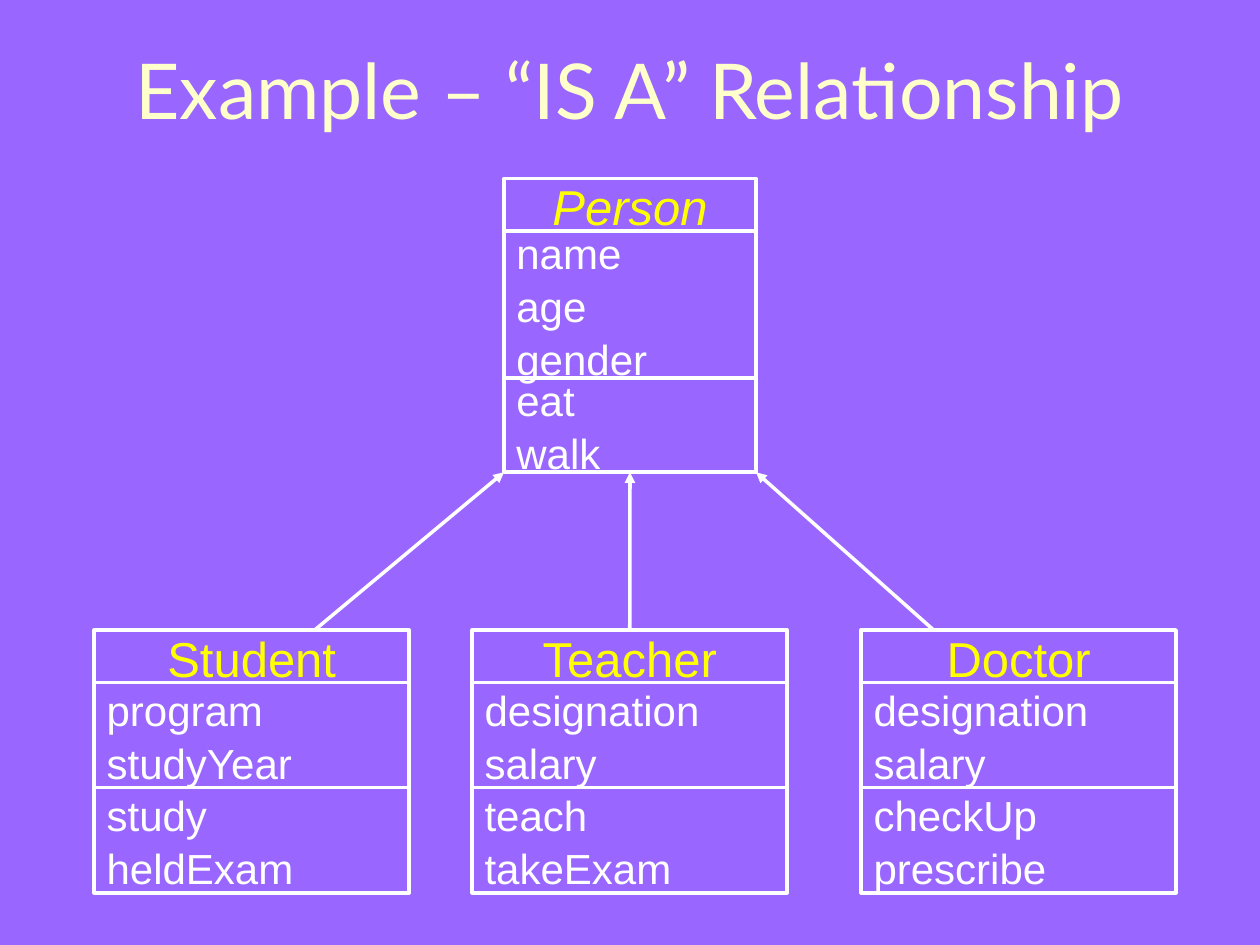
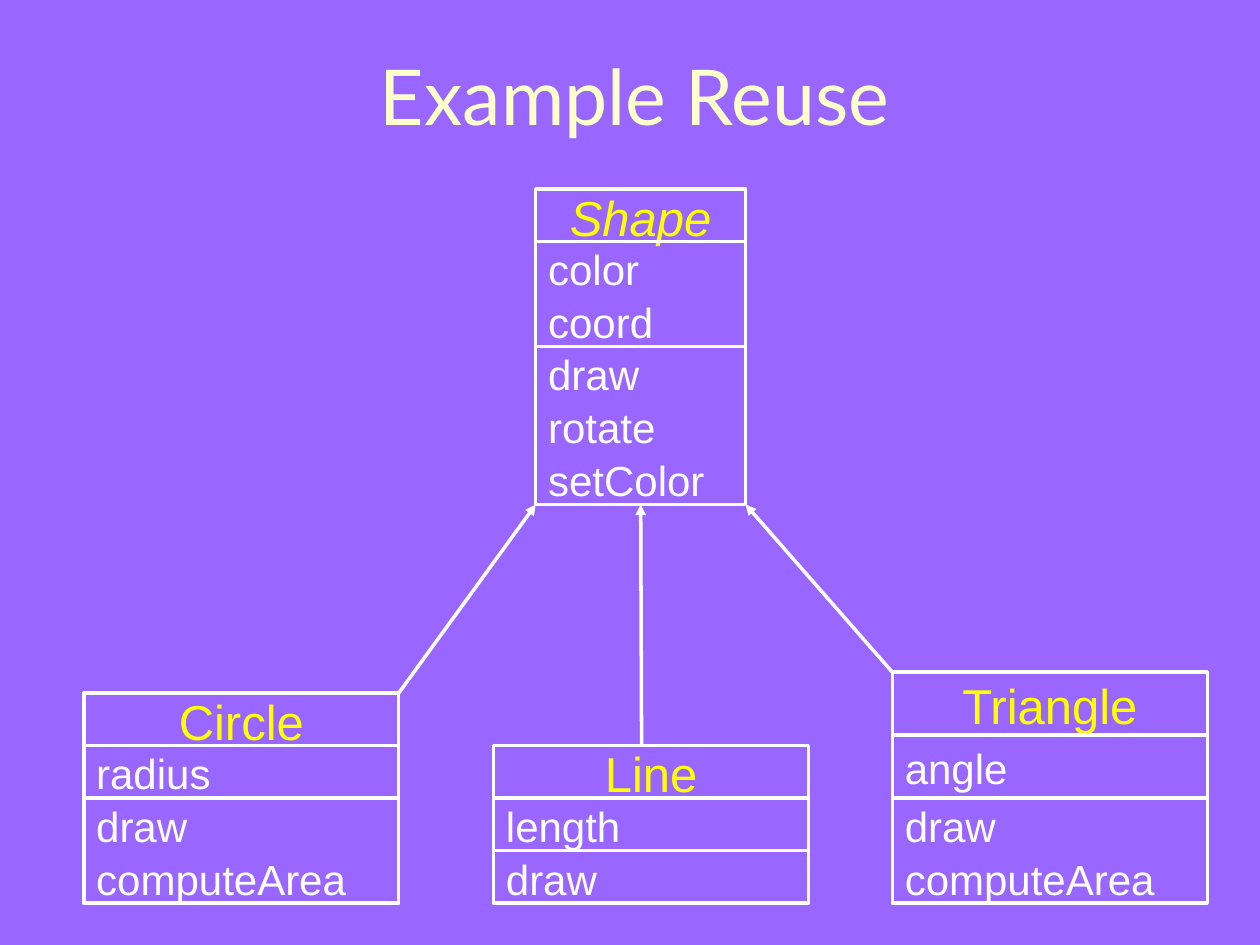
import dataclasses

import pptx
import pptx.dml.color
import pptx.enum.shapes
import pptx.enum.text
import pptx.oxml
import pptx.oxml.ns
import pptx.util
from pptx.util import Cm, Pt

RGBColor = pptx.dml.color.RGBColor
PURPLE = RGBColor(0x99, 0x66, 0xFF)
CREAM = RGBColor(0xFF, 0xFF, 0xCC)
YELLOW = RGBColor(0xFF, 0xFF, 0x00)
WHITE = RGBColor(0xFF, 0xFF, 0xFF)

LINE_WIDTH = Pt(2)
LINE_SPACING = 1.05
ROW = 1.06
CHILD_WIDTH = 6.35
TITLE_ONLY_LAYOUT = 5
PARENT_ENDS = (0, 0.5, 1)


@dataclasses.dataclass
class ClassBox:
    """A class diagram box in centimetres; arrow_start is a fraction of its width."""
    name: str
    attributes: list
    methods: list
    left: float
    top: float
    row_heights: tuple
    width: float = CHILD_WIDTH
    arrow_start: float = 0.5

    @property
    def bottom(self):
        return self.top + sum(self.row_heights)

    def x_at(self, fraction):
        return self.left + self.width * fraction


def write_text(shape, lines, *, size, color, font="Arial", italic=False, centered=False):
    frame = shape.text_frame
    frame.word_wrap = True
    frame.auto_size = pptx.enum.text.MSO_AUTO_SIZE.NONE
    frame.vertical_anchor = pptx.enum.text.MSO_ANCHOR.MIDDLE
    align = pptx.enum.text.PP_ALIGN
    for index, line in enumerate(lines):
        para = frame.paragraphs[0] if index == 0 else frame.add_paragraph()
        para.alignment = align.CENTER if centered else align.LEFT
        para.line_spacing = LINE_SPACING
        para.space_before = Pt(0)
        span = para.add_run()
        span.text = line
        span.font.name = font
        span.font.size = Pt(size)
        span.font.italic = italic
        span.font.color.rgb = color


def add_title(page, text, left, top, width):
    title = page.shapes.title
    title.left, title.top = Cm(left), Cm(top)
    title.width, title.height = Cm(width), Cm(2.21)
    write_text(title, [text], size=44, color=CREAM, font="Lato", centered=True)


def add_class_box(page, box, abstract=False):
    """Stack the name, attribute and method compartments of one class."""
    top = box.top
    compartments = ([box.name], box.attributes, box.methods)
    for index, (lines, height) in enumerate(zip(compartments, box.row_heights)):
        cell = page.shapes.add_shape(
            pptx.enum.shapes.MSO_SHAPE.RECTANGLE,
            Cm(box.left), Cm(top), Cm(box.width), Cm(height))
        cell.shadow.inherit = False
        cell.fill.background()
        cell.line.color.rgb = WHITE
        cell.line.width = LINE_WIDTH
        if index == 0:
            write_text(cell, lines, size=28, color=YELLOW, italic=abstract, centered=True)
        else:
            write_text(cell, lines, size=24, color=WHITE)
        top += height


def add_arrow(page, child, parent, parent_end):
    """Point from the child's top edge to the parent's bottom edge."""
    arrow = page.shapes.add_connector(
        pptx.enum.shapes.MSO_CONNECTOR.STRAIGHT,
        Cm(child.x_at(child.arrow_start)), Cm(child.top),
        Cm(parent.x_at(parent_end)), Cm(parent.bottom))
    arrow.line.color.rgb = WHITE
    arrow.line.width = LINE_WIDTH
    namespace = pptx.oxml.ns.nsdecls("a")
    arrow.line._get_or_add_ln().append(
        pptx.oxml.parse_xml(f'<a:tailEnd {namespace} type="triangle"/>'))
    arrow._element.spPr.append(pptx.oxml.parse_xml(f"<a:effectLst {namespace}/>"))


def add_hierarchy_page(deck, title, title_place, parent, children):
    page = deck.slides.add_slide(deck.slide_layouts[TITLE_ONLY_LAYOUT])
    add_title(page, title, *title_place)
    add_class_box(page, parent, abstract=True)
    for child, parent_end in zip(children, PARENT_ENDS):
        add_class_box(page, child)
        add_arrow(page, child, parent, parent_end)


def main():
    deck = pptx.Presentation()
    deck.slide_width, deck.slide_height = Cm(25.4), Cm(19.05)
    background = deck.slide_master.background.fill
    background.solid()
    background.fore_color.rgb = PURPLE

    two_line_rows = (ROW, 2 * ROW, 2 * ROW)
    person = ClassBox("Person", ["name", "age", "gender"], ["eat", "walk"],
                      10.16, 3.6, (ROW, 2.96, 1.9), width=5.08)
    professions = [
        ClassBox("Student", ["program", "studyYear"], ["study", "heldExam"],
                 1.9, 12.7, two_line_rows, arrow_start=0.7),
        ClassBox("Teacher", ["designation", "salary"], ["teach", "takeExam"],
                 9.52, 12.7, two_line_rows),
        ClassBox("Doctor", ["designation", "salary"], ["checkUp", "prescribe"],
                 17.36, 12.7, two_line_rows, arrow_start=0.23),
    ]
    add_hierarchy_page(deck, "Example – “IS A” Relationship", (0.84, 0.64, 23.72),
                       person, professions)

    shape = ClassBox("Shape", ["color", "coord"], ["draw", "rotate", "setColor"],
                     10.8, 3.81, (ROW, 2 * ROW, 3 * ROW), width=4.23)
    figures = [
        ClassBox("Circle", ["radius"], ["draw", "computeArea"],
                 1.69, 13.97, (ROW, ROW, 2 * ROW), arrow_start=1),
        ClassBox("Line", ["length"], ["draw"],
                 9.95, 15.03, (ROW, ROW, ROW), arrow_start=0.47),
        ClassBox("Triangle", ["angle"], ["draw", "computeArea"],
                 17.99, 13.55, (1.27, 1.27, 2 * ROW), arrow_start=0),
    ]
    add_hierarchy_page(deck, "Example Reuse", (1.27, 0.76, 23.06), shape, figures)

    deck.save("out.pptx")


if __name__ == "__main__":
    main()
